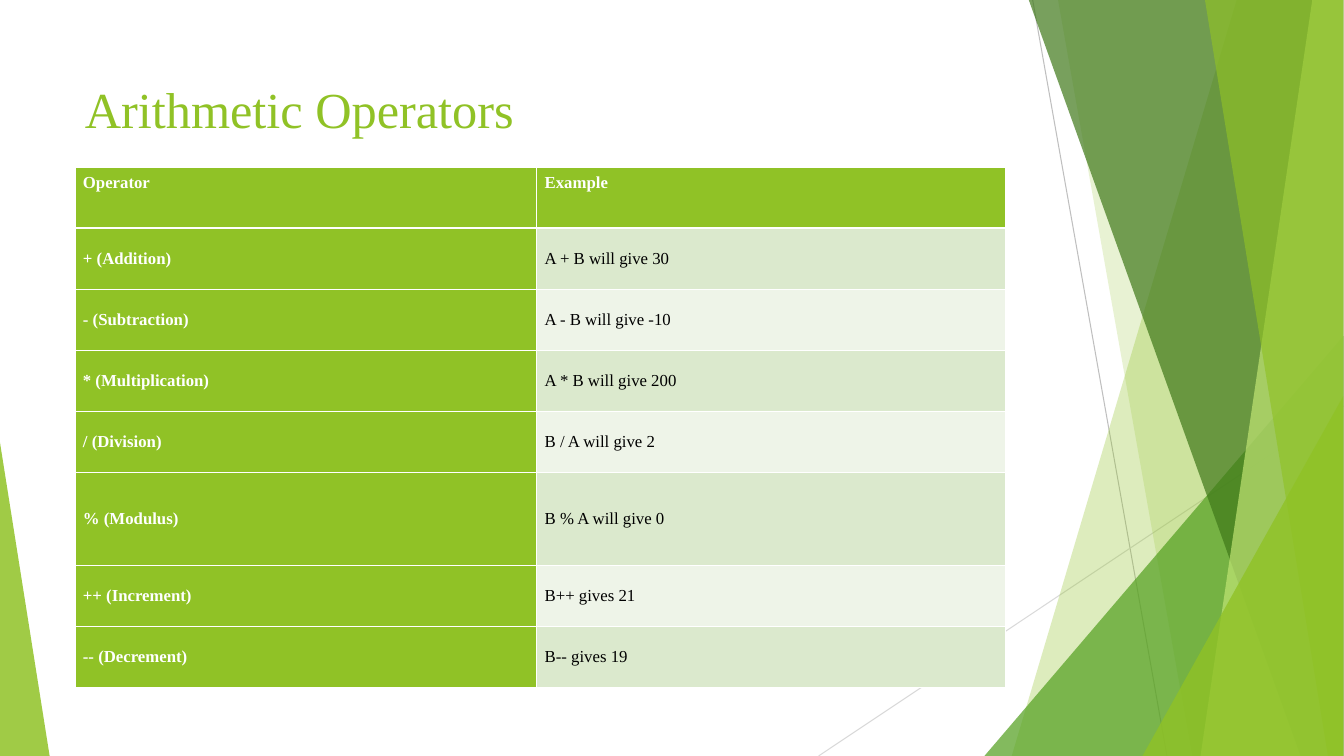
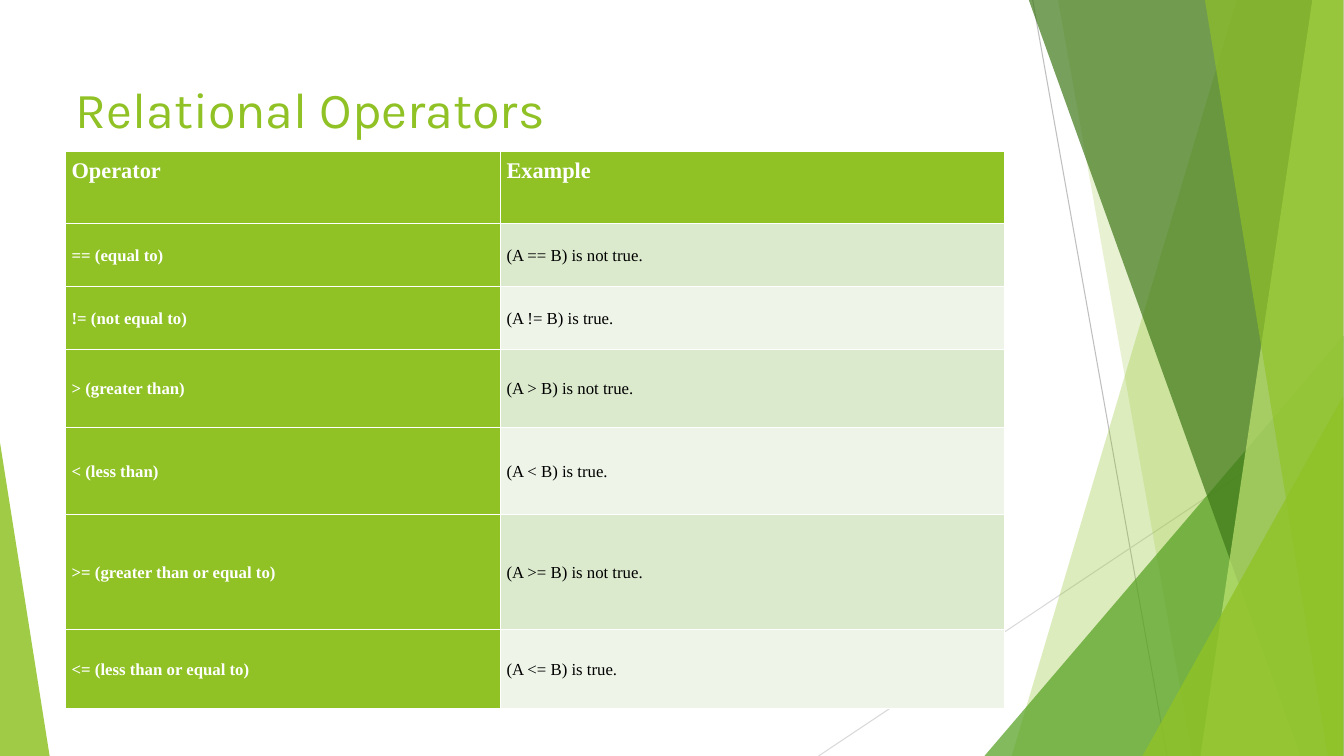
"""Builds two slides of operator tables on a shared green facet background."""
from dataclasses import dataclass

from lxml.etree import SubElement
from pptx import Presentation
from pptx.dml.color import RGBColor
from pptx.enum.shapes import MSO_CONNECTOR as Connector, MSO_SHAPE as Shape
from pptx.enum.text import MSO_ANCHOR as Anchor
from pptx.oxml.ns import qn
from pptx.util import Pt


@dataclass(frozen=True)
class Theme:
    green: str = "90C226"
    leaf: str = "54A021"
    forest: str = "3F7819"
    lime: str = "C0E474"
    band_dark: str = "DBE9CD"
    band_light: str = "EEF4E8"
    white: str = "FFFFFF"
    black: str = "000000"
    steep_line: str = "BFBFBF"
    flat_line: str = "D9D9D9"
    serif: str = "Times New Roman"
    sans: str = "Karla"
    title_size: float = 36
    body_size: float = 12
    large_header_size: float = 16
    hairline: float = 0.45
    header_rule: float = 1.47


THEME = Theme()
WIDTH, HEIGHT, EDGE = 960.48, 540, 960

BACK_LINES = [((738, 0), (834, HEIGHT), THEME.steep_line),
              ((EDGE, 290), (585, HEIGHT), THEME.flat_line)]

FACETS = [
    dict(top_x=884, bottom_x=723, color=THEME.green, opacity=30),
    dict(top_x=756, bottom_x=852, color=THEME.green, opacity=20),
    dict(left=703.5, top=240, right=EDGE, apex=1, color=THEME.leaf, opacity=72),
    dict(top_x=735, bottom_x=929.5, color=THEME.forest, opacity=70),
    dict(top_x=938, bottom_x=858, color=THEME.lime, opacity=70),
    dict(top_x=861, bottom_x=949, color=THEME.green, opacity=65),
    dict(left=816.5, top=283, right=EDGE, apex=1, color=THEME.green, opacity=80),
    dict(left=0, top=316, right=35.5, apex=0, color=THEME.green, opacity=85),
]

HEADER = ("Operator", "Example")

SLIDES = [
    dict(title="Arithmetic Operators", title_font=THEME.serif,
         title_box=(53.5, 48, 677, 71), table_at=(53.5, 119.2),
         columns=(330, 335), heights=[43.6] * 5 + [66.4] + [43.6] * 2,
         header_size=THEME.body_size, side_margin=5.8,
         rows=[("+ (Addition)", "A + B will give 30"),
               ("- (Subtraction)", "A - B will give -10"),
               ("* (Multiplication)", "A * B will give 200"),
               ("/ (Division)", "B / A will give 2"),
               ("% (Modulus)", "B % A will give 0"),
               ("++ (Increment)", "B++ gives 21"),
               ("-- (Decrement)", "B-- gives 19")]),
    dict(title="Relational Operators", title_font=THEME.sans,
         title_box=(47, 48, 683, 60), table_at=(46.4, 108.4),
         columns=(310.8, 360.6), heights=[51.2, 45, 45, 56, 62, 82, 56.5],
         header_size=THEME.large_header_size, side_margin=4.8,
         rows=[("== (equal to)", "(A == B) is not true."),
               ("!= (not equal to)", "(A != B) is true."),
               ("> (greater than)", "(A > B) is not true."),
               ("< (less than)", "(A < B) is true."),
               (">= (greater than or equal to)", "(A >= B) is not true."),
               ("<= (less than or equal to)", "(A <= B) is true.")]),
]


def points(*values):
    return [Pt(value) for value in values]


def rgb(color):
    return RGBColor.from_string(color)


def write(frame, text, *, size, color, font=THEME.serif, bold=False,
          line_spacing=None, space_after=None):
    paragraph = frame.paragraphs[0]
    if line_spacing:
        paragraph.line_spacing = line_spacing
    if space_after:
        paragraph.space_after = Pt(space_after)
    run = paragraph.add_run()
    run.text = text
    run.font.size = Pt(size)
    run.font.name = font
    run.font.bold = bold
    run.font.color.rgb = rgb(color)


def add_facet(shapes, color, opacity, top_x=None, bottom_x=None,
              left=None, top=None, right=None, apex=None):
    if apex is None:
        outline = shapes.build_freeform(Pt(top_x), Pt(-0.7))
        outline.add_line_segments([points(EDGE, -0.7), points(EDGE, HEIGHT),
                                   points(bottom_x, HEIGHT)], close=True)
        facet = outline.convert_to_shape()
    else:
        facet = shapes.add_shape(Shape.ISOSCELES_TRIANGLE,
                                 *points(left, top, right - left, HEIGHT - top))
        facet.adjustments[0] = apex
    facet.shadow.inherit = False
    facet.line.fill.background()
    facet.fill.solid()
    facet.fill.fore_color.rgb = rgb(color)
    fill_color = facet.element.spPr.find(qn("a:solidFill"))[0]
    SubElement(fill_color, qn("a:alpha"), val=str(opacity * 1000))


def add_background(slide):
    shapes = slide.shapes.add_group_shape().shapes
    for start, end, color in BACK_LINES:
        line = shapes.add_connector(Connector.STRAIGHT, *points(*start, *end))
        line.line.color.rgb = rgb(color)
        line.line.width = Pt(0.75)
        SubElement(line.element.spPr, qn("a:effectLst"))
    for facet in FACETS:
        add_facet(shapes, **facet)


def add_title(slide, text, font, box):
    frame = slide.shapes.add_textbox(*points(*box)).text_frame
    frame.word_wrap = True
    frame.margin_top = Pt(7.5)
    write(frame, text, size=THEME.title_size, color=THEME.green, font=font)


def set_borders(cell, row):
    properties = cell._tc.get_or_add_tcPr()
    heavy = {0: "lnB", 1: "lnT"}.get(row)
    for side in ("lnL", "lnR", "lnT", "lnB"):
        weight = THEME.header_rule if side == heavy else THEME.hairline
        border = SubElement(properties, qn(f"a:{side}"), w=str(int(Pt(weight))))
        fill = SubElement(border, qn("a:solidFill"))
        SubElement(fill, qn("a:srgbClr"), val=THEME.white)


def add_operator_table(slide, content):
    rows = [HEADER] + content["rows"]
    columns, heights = content["columns"], content["heights"]
    table = slide.shapes.add_table(
        len(rows), len(columns),
        *points(*content["table_at"], sum(columns), sum(heights))).table
    for column, width in zip(table.columns, columns):
        column.width = Pt(width)
    for row, (texts, height) in enumerate(zip(rows, heights)):
        table.rows[row].height = Pt(height)
        for column, text in enumerate(texts):
            cell = table.cell(row, column)
            strong = row == 0 or column == 0
            band = THEME.band_dark if row % 2 else THEME.band_light
            set_borders(cell, row)
            cell.fill.solid()
            cell.fill.fore_color.rgb = rgb(THEME.green if strong else band)
            cell.margin_left = cell.margin_right = Pt(content["side_margin"])
            cell.vertical_anchor = Anchor.MIDDLE if row else Anchor.TOP
            write(cell.text_frame, text, bold=strong,
                  size=THEME.body_size if row else content["header_size"],
                  color=THEME.white if strong else THEME.black,
                  line_spacing=1.07, space_after=15)


def main():
    deck = Presentation()
    deck.slide_width, deck.slide_height = points(WIDTH, HEIGHT)
    for content in SLIDES:
        slide = deck.slides.add_slide(deck.slide_layouts[6])
        add_background(slide)
        add_title(slide, content["title"], content["title_font"], content["title_box"])
        add_operator_table(slide, content)
    deck.save("out.pptx")


if __name__ == "__main__":
    main()
